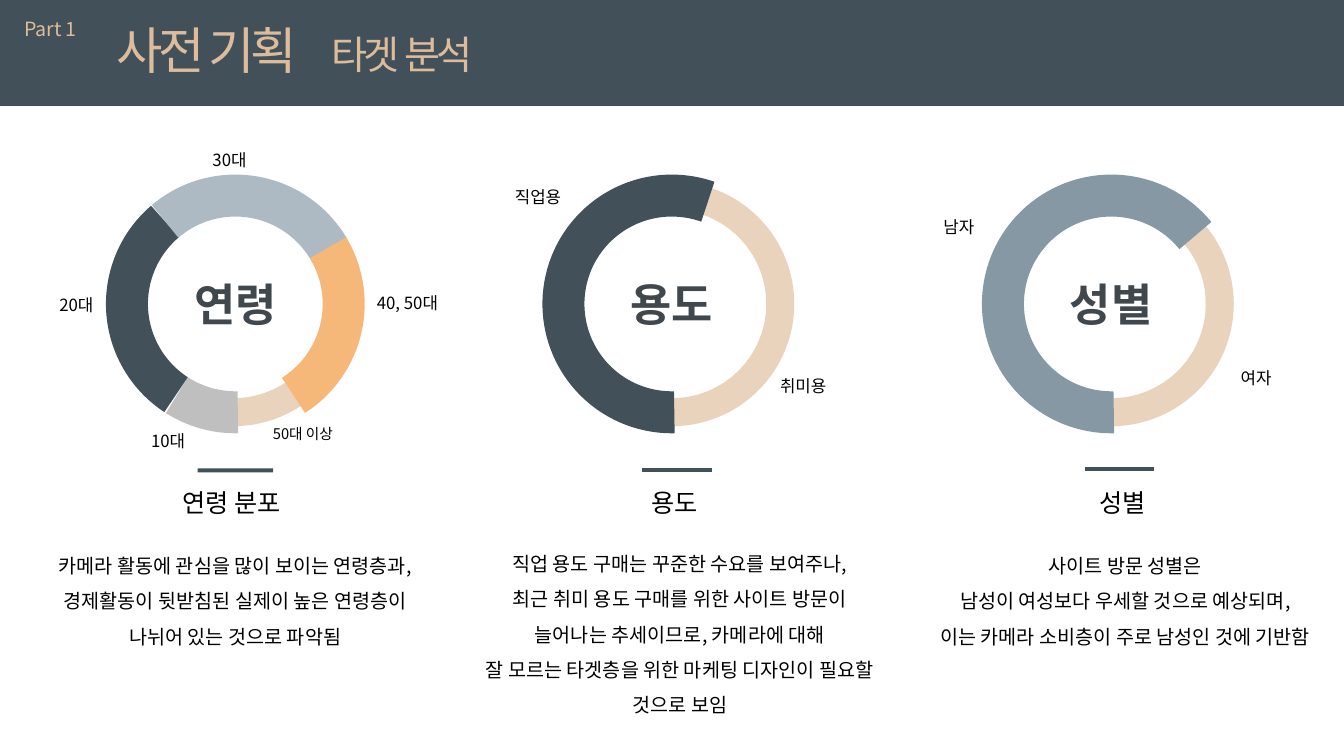
from lxml.etree import SubElement
from pptx import Presentation
from pptx.dml.color import RGBColor
from pptx.enum.shapes import MSO_CONNECTOR, MSO_SHAPE
from pptx.enum.text import MSO_AUTO_SIZE, PP_ALIGN
from pptx.oxml.ns import qn
from pptx.util import Inches, Pt

SLATE = RGBColor(0x42, 0x50, 0x59)
STEEL = RGBColor(0x85, 0x98, 0xA4)
MIST = RGBColor(0xAD, 0xBA, 0xC3)
GRAY = RGBColor(0xBF, 0xBF, 0xBF)
ORANGE = RGBColor(0xF6, 0xB8, 0x79)
SAND = RGBColor(0xE9, 0xD3, 0xBD)
TAN = RGBColor(0xDD, 0xBC, 0x9C)
CHARCOAL = RGBColor(0x40, 0x47, 0x4D)
BLACK = RGBColor(0, 0, 0)
FONT = "Noto Sans CJK KR"

deck = Presentation()
deck.slide_width, deck.slide_height = Inches(13.33), Inches(7.5)
page = deck.slides.add_slide(deck.slide_layouts[6])
COLUMN = deck.slide_width / 40
ROW = deck.slide_height / 22.5


def cells(left, top, width, height):
    return [round(n * unit) for n, unit in zip((left, top, width, height), (COLUMN, ROW) * 2)]


def write(area, paragraphs, color=BLACK, wrap=True, **formats):
    box = page.shapes.add_textbox(*cells(*area))
    frame = box.text_frame
    frame.word_wrap = wrap
    frame.auto_size = MSO_AUTO_SIZE.SHAPE_TO_FIT_TEXT
    for index, spans in enumerate(paragraphs):
        para = frame.add_paragraph() if index else frame.paragraphs[0]
        for name, value in formats.items():
            setattr(para, name, value)
        for text, font_format in spans:
            span = para.add_run()
            span.text = text
            span.font.color.rgb = color
            for name, value in {"name": FONT, **font_format}.items():
                setattr(span.font, name, value)
            SubElement(span.font._element, qn("a:ea"), typeface=FONT)
    return frame


header = page.shapes.add_shape(MSO_SHAPE.RECTANGLE, *cells(0, 0, 40, 3.15))
rule = page.shapes.add_shape(MSO_SHAPE.RECTANGLE, *cells(5.88, 13.94, 2.25, 0.12))
for block in (header, rule):
    block.shadow.inherit = False
    block.fill.solid()
    block.fill.fore_color.rgb = SLATE
    block.line.fill.background()

write((0.42, 0.36, 2.19, 1.02), [[("Part 1", {"size": Pt(14)})]], TAN, wrap=False)
title = write((3.18, 0.42, 21.75, 2.13),
              [[("사전 기획\t", {"size": Pt(36)}), ("타겟  분석", {"size": Pt(28)})]], TAN).paragraphs[0]
for span in title.runs:
    span.font._element.set("spc", "-300")
tabs = SubElement(title._p.get_or_add_pPr(), qn("a:tabLst"))
SubElement(tabs, qn("a:tab"), pos=str(round(6.4 * COLUMN)), algn="l")

RING = 6.45
RING_TOP = 5.82
rings = [
    ("연령", 3.78, [(3.72, 90, 178.03, 359.11, SAND, 20),
                  (3.78, 0, 88.67, 122.67, GRAY, 30),
                  (3.78, 0, 123.15, 229.57, SLATE, 30),
                  (3.78, 0, 229.63, 330.03, MIST, 30),
                  (3.78, 0, 328.78, 57.56, ORANGE, 30)]),
    ("용도", 16.77, [(16.77, 90, 198.78, 359.11, SAND, 20),
                   (16.77, 0, 88.67, 289.43, SLATE, 30)]),
    ("성별", 29.85, [(29.85, 90, 175.39, 359.11, SAND, 20),
                   (29.85, 0, 88.67, 320.89, STEEL, 30)]),
]
for name, ring_left, arcs in rings:
    for left, turn, start, end, color, weight in arcs:
        arc = page.shapes.add_shape(MSO_SHAPE.ARC, *cells(left, RING_TOP, RING, RING))
        arc.shadow.inherit = False
        arc.rotation = turn
        arc.adjustments[0] = start * 0.6
        arc.adjustments[1] = end * 0.6
        arc.fill.background()
        arc.line.color.rgb = color
        arc.line.width = Pt(weight)
    write((ring_left + 1.65, 8.1, 3.15, 1.92), [[(name, {"size": Pt(32), "bold": True})]],
          CHARCOAL, wrap=False, alignment=PP_ALIGN.CENTER)

for left, top in ((19.11, 13.98), (32.28, 13.95)):
    x, y, length, _ = cells(left, top, 2.07, 0)
    line = page.shapes.add_connector(MSO_CONNECTOR.STRAIGHT, x, y, x + length, y)
    line.line.color.rgb = SLATE
    line.line.width = Pt(3)
    SubElement(line._element.spPr, qn("a:effectLst"))

labels = [
    ("40, 50대", 10.92, 8.58, 2.61, 12), ("30대", 6.03, 4.32, 1.8, 12),
    ("20대", 1.47, 8.61, 1.8, 12), ("10대", 4.2, 12.66, 1.8, 12),
    ("50대 이상", 7.83, 12.51, 2.88, 10.5), ("직업용", 15.03, 5.4, 2.16, 12),
    ("취미용", 22.92, 11.04, 2.16, 12), ("남자", 27.78, 6.3, 1.74, 12),
    ("여자", 36.63, 10.8, 1.74, 12),
]
for text, left, top, width, size in labels:
    write((left, top, width, 0.9), [[(text, {"size": Pt(size)})]])

for text, left, width in (("연령 분포", 5.13, 3.66), ("용도", 19.08, 2.04), ("성별", 32.43, 2.04)):
    write((left, 14.37, width, 1.2), [[(text, {"size": Pt(18)})]], wrap=False)

notes = [
    (0.93, 15.99, 3.36, ["카메라 활동에 관심을 많이 보이는 연령층과,",
                         "경제활동이 뒷받침된 실제이 높은 연령층이",
                         "나뉘어 있는 것으로 파악됨"]),
    (14.16, 15.93, 5.46, ["직업 용도 구매는 꾸준한 수요를 보여주나,",
                          "최근 취미 용도 구매를 위한 사이트 방문이 늘어나는 추세이므로, 카메라에 대해",
                          "잘 모르는 타겟층을 위한 마케팅 디자인이 필요할 것으로 보임"]),
    (27.42, 15.99, 3.33, ["사이트 방문 성별은",
                          "남성이 여성보다 우세할 것으로 예상되며,",
                          "이는 카메라 소비층이 주로 남성인 것에 기반함"]),
]
for left, top, height, sentences in notes:
    write((left, top, 12.15, height), [[(text, {"size": Pt(14)})] for text in sentences],
          alignment=PP_ALIGN.CENTER, line_spacing=1.5)

deck.save("out.pptx")
